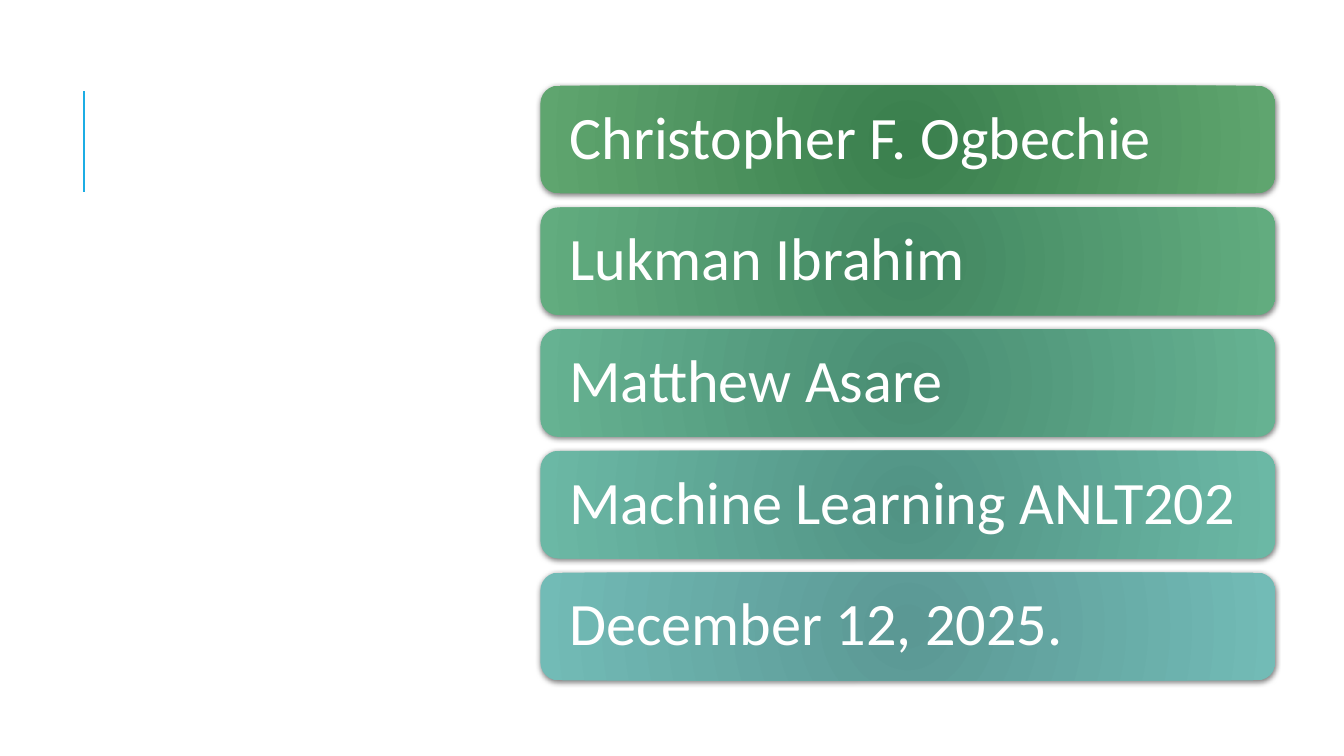
import pptx
import pptx.dml.color
import pptx.enum.shapes
import pptx.enum.text
import pptx.oxml
import pptx.oxml.ns
import pptx.util
from lxml import etree

Pt = pptx.util.Pt
NS = pptx.oxml.ns.nsdecls("a")
RADIAL = (f'<a:path {NS} path="circle"><a:fillToRect l="100000" t="100000" '
          'r="100000" b="100000"/></a:path>')
SHADOW = (f'<a:outerShdw {NS} blurRad="50800" dist="12700" dir="5400000" '
          'algn="ctr" rotWithShape="0"><a:srgbClr val="000000">'
          '<a:alpha val="50000"/></a:srgbClr></a:outerShdw>')

BARS = [
    ("Christopher F. Ogbechie", "3A7F4D", "5FA56F"),
    ("Lukman Ibrahim", "418660", "62AC7F"),
    ("Matthew Asare", "498D72", "66B292"),
    ("Machine Learning ANLT202", "519384", "6BB8A5"),
    ("December 12, 2025.", "5B9894", "72BBB6"),
]
BAR_LEFT, BAR_TOP, BAR_WIDTH, BAR_HEIGHT = 386, 61.2, 525, 77
BAR_PITCH = 86.95


def color(hex_text):
    return pptx.dml.color.RGBColor.from_string(hex_text)


class Deck:
    font = "Calibri"
    size = 43
    text_color = "FFFFFF"
    accent = "1CADE4"

    def __init__(self):
        self.prs = pptx.Presentation()
        self.prs.slide_width, self.prs.slide_height = Pt(960), Pt(540)
        self.s = self.prs.slides.add_slide(self.prs.slide_layouts[6])

    def line(self, x1, y1, x2, y2, width):
        c = self.s.shapes.add_connector(
            pptx.enum.shapes.MSO_CONNECTOR.STRAIGHT, Pt(x1), Pt(y1), Pt(x2), Pt(y2))
        c.line.color.rgb = color(self.accent)
        c.line.width = Pt(width)
        etree.SubElement(c._element.spPr, pptx.oxml.ns.qn("a:effectLst"))

    def bar(self, text, x, y, w, h, inner, outer):
        """Add a rounded bar with a radial gradient, a soft shadow and text."""
        sp = self.s.shapes.add_shape(
            pptx.enum.shapes.MSO_SHAPE.ROUNDED_RECTANGLE, Pt(x), Pt(y), Pt(w), Pt(h))
        sp.line.fill.background()
        sp.fill.gradient()
        for stop, position, shade in zip(sp.fill.gradient_stops, (0, 1), (inner, outer)):
            stop.position = position
            stop.color.rgb = color(shade)
        spPr = sp._element.spPr
        lin = spPr.find(".//" + pptx.oxml.ns.qn("a:lin"))
        lin.getparent().replace(lin, pptx.oxml.parse_xml(RADIAL))
        sp.shadow.inherit = False
        spPr.find(pptx.oxml.ns.qn("a:effectLst")).append(pptx.oxml.parse_xml(SHADOW))

        tf = sp.text_frame
        tf.word_wrap = True
        tf.vertical_anchor = pptx.enum.text.MSO_ANCHOR.MIDDLE
        tf.margin_left = tf.margin_right = Pt(17)
        tf.margin_top = tf.margin_bottom = 0
        p = tf.paragraphs[0]
        p.text = text
        p.alignment = pptx.enum.text.PP_ALIGN.LEFT
        p.line_spacing = 0.9
        p.font.name = self.font
        p.font.size = Pt(self.size)
        p.font.color.rgb = color(self.text_color)


def main():
    deck = Deck()
    deck.line(60, 136.8, 60, 64.8, 1.5)
    for i, (text, inner, outer) in enumerate(BARS):
        deck.bar(text, BAR_LEFT, BAR_TOP + i * BAR_PITCH, BAR_WIDTH, BAR_HEIGHT,
                 inner, outer)
    deck.prs.save("out.pptx")


if __name__ == "__main__":
    main()
